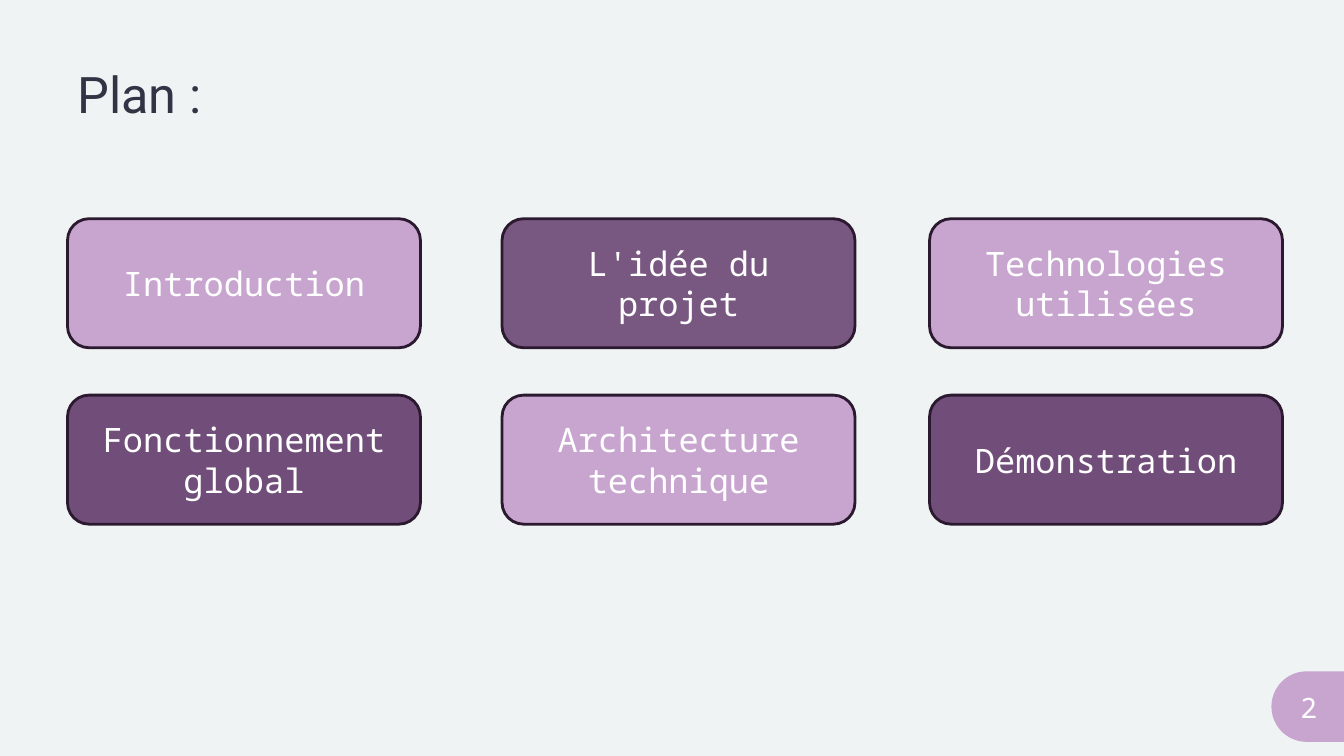
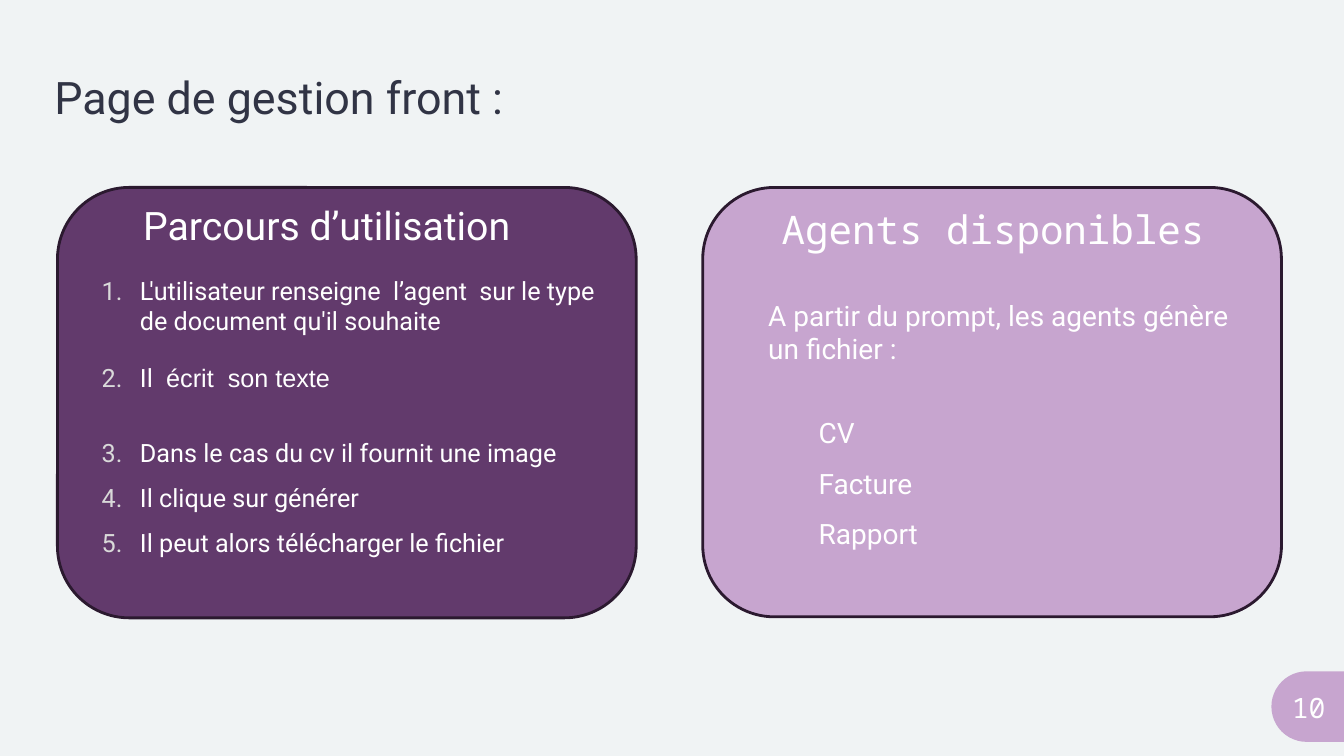
import lxml.etree
import pptx
import pptx.dml.color
import pptx.enum.shapes
import pptx.enum.text
import pptx.oxml.ns
import pptx.util

Inches = pptx.util.Inches
Pt = pptx.util.Pt
RGBColor = pptx.dml.color.RGBColor
Shape = pptx.enum.shapes.MSO_SHAPE
Align = pptx.enum.text.PP_ALIGN
Anchor = pptx.enum.text.MSO_ANCHOR
qn = pptx.oxml.ns.qn

PAPER = RGBColor(0xF0, 0xF3, 0xF4)
INK = RGBColor(0x31, 0x34, 0x45)
LILAC = RGBColor(0xC7, 0xA5, 0xCF)
PLUM = RGBColor(0x62, 0x3A, 0x6C)
EDGE = RGBColor(0x2B, 0x19, 0x2F)
WHITE = RGBColor(0xFF, 0xFF, 0xFF)
MONO, SANS = "Noto Sans Mono", "Roboto"

LABEL = {"name": MONO, "size": Pt(24)}
NUMBER = {"name": MONO, "size": Pt(20)}
STEP = {"name": SANS, "size": Pt(18)}
NOTE = {"name": SANS, "size": Pt(20)}
WIDE = {"line_spacing": 1.5}
ROOMY = dict.fromkeys(
    ("margin_left", "margin_top", "margin_right", "margin_bottom"), Inches(0.1))


def apply(target, values):
    for name, value in values.items():
        setattr(target, name, value)


def write(para, text, font, color=WHITE, **form):
    run = para.add_run()
    run.text = text
    apply(run.font, font)
    run.font.color.rgb = color
    apply(para, form)


def add_para(frame, first):
    return frame.paragraphs[0] if first else frame.add_paragraph()


def add_text(slide, box, **form):
    frame = slide.shapes.add_textbox(*map(Inches, box)).text_frame
    apply(frame, {"word_wrap": True, **form})
    return frame


def add_block(slide, kind, box, fill, alpha=100, edge=True):
    """Add a filled shape; alpha is its opacity in percent."""
    shape = slide.shapes.add_shape(kind, *map(Inches, box))
    shape.shadow.inherit = False
    shape.fill.solid()
    shape.fill.fore_color.rgb = fill
    if alpha < 100:
        color = shape.fill._xPr.find(".//" + qn("a:srgbClr"))
        lxml.etree.SubElement(color, qn("a:alpha")).set("val", str(alpha * 1000))
    if edge:
        shape.line.color.rgb = EDGE
        shape.line.width = Pt(2)
    else:
        shape.line.fill.background()
    return shape


def add_page(deck, title, box, size, number):
    """Start a slide with its background, title and page number."""
    slide = deck.slides.add_slide(deck.slide_layouts[6])
    slide.background.fill.solid()
    slide.background.fill.fore_color.rgb = PAPER
    frame = add_text(slide, box, vertical_anchor=Anchor.BOTTOM, **ROOMY)
    write(frame.paragraphs[0], title, {"name": SANS, "size": Pt(size)}, INK)
    tab = add_block(slide, Shape.ROUND_2_SAME_RECTANGLE,
                    (12.62, 6.65, 0.7, 0.72), LILAC, edge=False)
    tab.rotation = 270
    tab.adjustments[0], tab.adjustments[1] = 0.5, 0
    frame = add_text(slide, (12.71, 6.8, 0.54, 0.44), word_wrap=False)
    write(frame.paragraphs[0], str(number), NUMBER, alignment=Align.CENTER)
    return slide


def add_card(slide, box, label, fill, alpha):
    frame = add_block(slide, Shape.ROUNDED_RECTANGLE, box, fill, alpha).text_frame
    apply(frame, {"word_wrap": True, "vertical_anchor": Anchor.MIDDLE})
    write(frame.paragraphs[0], label, LABEL, alignment=Align.CENTER)


def add_panel(slide, box, fill, head, font, head_box, body_box):
    """Add a titled panel; inner boxes are offsets from its corner."""
    left, top = box[:2]

    def inner(part):
        return (left + part[0], top + part[1], *part[2:])

    add_block(slide, Shape.ROUNDED_RECTANGLE, box, fill)
    frame = add_text(slide, inner(head_box), vertical_anchor=Anchor.BOTTOM, **ROOMY)
    write(frame.paragraphs[0], head, {"name": font, "size": Pt(28)},
          alignment=Align.CENTER)
    return add_text(slide, inner(body_box))


def set_number(para):
    """Turn a paragraph into a numbered step with a hanging indent."""
    props = para._p.get_or_add_pPr()
    props.set("marL", str(Inches(0.38)))
    props.set("indent", str(-Inches(0.38)))
    color = lxml.etree.SubElement(props, qn("a:buClr"))
    lxml.etree.SubElement(color, qn("a:srgbClr")).set("val", "D9D9D9")
    lxml.etree.SubElement(props, qn("a:buAutoNum")).set("type", "arabicPeriod")


def add_steps(frame, steps):
    for index, (runs, form) in enumerate(steps):
        para = add_para(frame, index == 0)
        set_number(para)
        for text, font in runs:
            write(para, text, {**STEP, "name": font}, **form)


def add_files(frame, intro, files):
    write(frame.paragraphs[0], intro, NOTE)
    for index, name in enumerate(files):
        para = add_para(frame, False)
        para._p.get_or_add_pPr().set("marL", str(Inches(0.5)))
        gap = {"space_before": Pt(24)} if index == 0 else {}
        write(para, name, NOTE, level=1, **WIDE, **gap)


def add_plan(deck):
    slide = add_page(deck, "Plan :", (0.67, 0.31, 5.16, 1.02), 36, 2)
    rows = (
        (2.17, 84, ("Introduction", "L'idée du projet", "Technologies utilisées")),
        (3.92, 89, ("Fonctionnement global", "Architecture technique",
                    "Démonstration")),
    )
    for row, (top, alpha, labels) in enumerate(rows):
        for col, (left, label) in enumerate(zip((0.67, 4.98, 9.22), labels)):
            dark = (row + col) % 2
            add_card(slide, (left, top, 3.5, 1.28), label,
                     PLUM if dark else LILAC, alpha if dark else 100)


def add_front(deck):
    slide = add_page(deck, "Page de gestion front :", (0.44, 0.63, 6.67, 0.69), 32, 10)
    body = add_panel(slide, (6.97, 1.86, 5.74, 4.26), LILAC, "Agents disponibles",
                     MONO, (0.38, 0.13, 5, 0.61), (0.55, 1.05, 5.02, 2.57))
    add_files(body, "A partir du prompt, les agents génère un fichier :",
              ("CV", "Facture", "Rapport"))
    body = add_panel(slide, (0.57, 1.86, 5.74, 4.27), PLUM, "Parcours d’utilisation",
                     SANS, (-0.14, 0, 5.62, 0.7), (0.34, 0.82, 5.12, 2.89))
    add_steps(body, (
        ([("L'utilisateur renseigne  l’agent  sur le type de document qu'il souhaite",
           SANS)], {}),
        ([("Il ", SANS), (" écrit  son texte", "Arial")], {"space_before": Pt(19)}),
        ([("Dans le cas du cv il fournit une image", SANS)],
         {**WIDE, "space_before": Pt(21)}),
        ([("Il clique sur générer", SANS)], WIDE),
        ([("Il peut alors télécharger le fichier", SANS)], WIDE),
    ))


def main():
    deck = pptx.Presentation()
    deck.slide_width, deck.slide_height = Inches(13.33), Inches(7.5)
    add_plan(deck)
    add_front(deck)
    deck.save("out.pptx")


if __name__ == "__main__":
    main()
